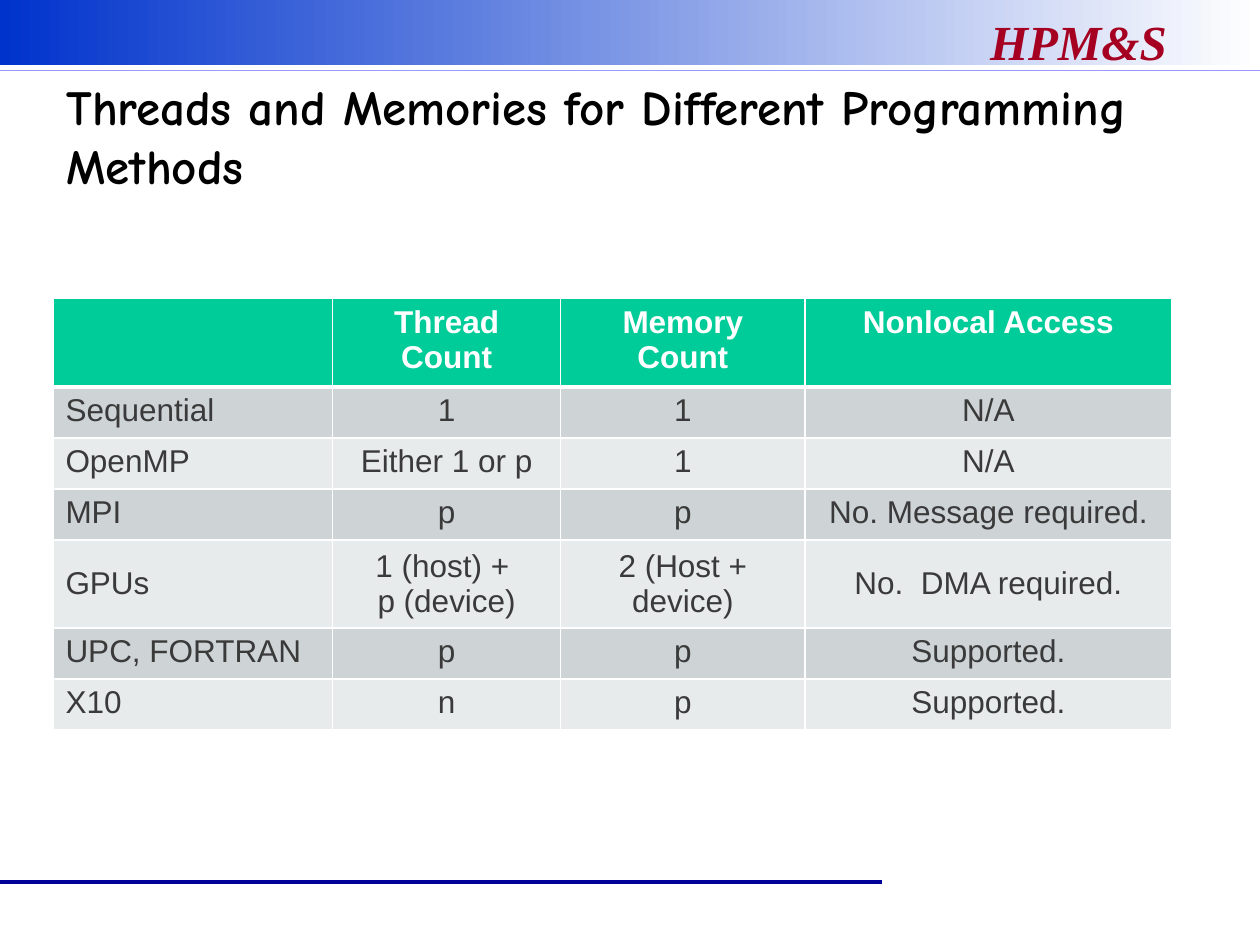
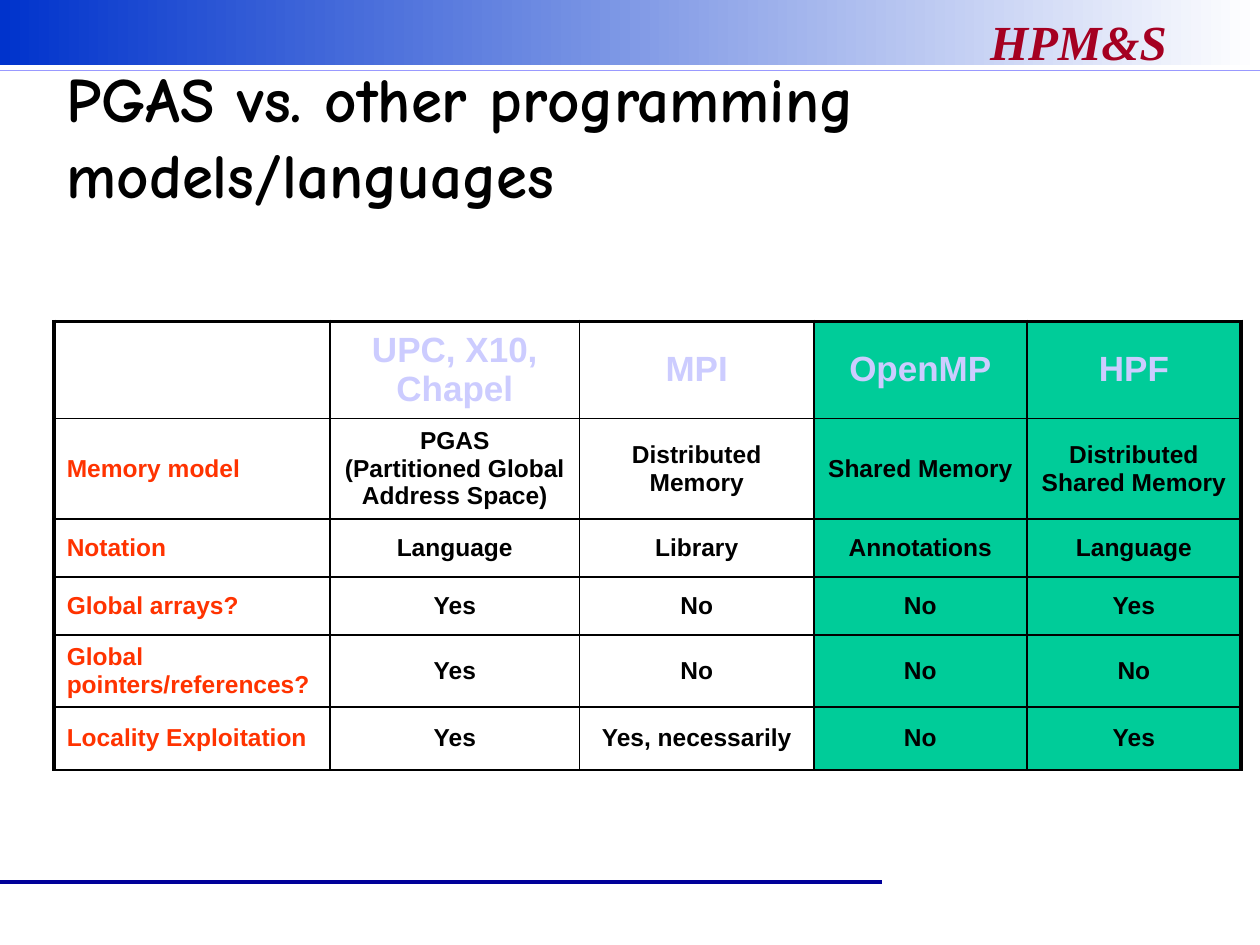
from lxml import etree
from pptx import Presentation
from pptx.dml.color import RGBColor
from pptx.enum.shapes import MSO_CONNECTOR, MSO_SHAPE
from pptx.enum.text import MSO_ANCHOR, PP_ALIGN
from pptx.oxml.ns import qn
from pptx.util import Inches, Pt

RECTANGLE = MSO_SHAPE.RECTANGLE
STRAIGHT = MSO_CONNECTOR.STRAIGHT
LEFT, CENTER = PP_ALIGN.LEFT, PP_ALIGN.CENTER
TOP, MIDDLE = MSO_ANCHOR.TOP, MSO_ANCHOR.MIDDLE

GRID_COLUMNS, GRID_ROWS = 100, 75
COLORS = {
    "band": "0033CC", "white": "FFFFFF", "black": "000000", "footer": "000099",
    "rule": "9999FF", "course": "A50021", "green": "00CC99", "body": "3A3A3A",
    "dark_band": "CED3D6", "light_band": "E8EBEC", "lavender": "CCCCFF", "label": "FF3300",
}
BODY_FONT, TITLE_FONT, COURSE_FONT = "Arial", "Comic Neue", "Times New Roman"


def rgb(color):
    return RGBColor.from_string(COLORS[color])


class Deck:
    def __init__(self):
        self.presentation = Presentation()
        self.presentation.slide_width = Inches(10)
        self.presentation.slide_height = Inches(7.5)
        self.slide = None

    def x(self, columns):
        return round(self.presentation.slide_width * columns / GRID_COLUMNS)

    def y(self, rows):
        return round(self.presentation.slide_height * rows / GRID_ROWS)

    def box(self, left, top, width, height):
        return self.x(left), self.y(top), self.x(width), self.y(height)

    def add_slide(self, title, size):
        self.slide = self.presentation.slides.add_slide(self.presentation.slide_layouts[6])
        self.gradient_band(0, 0, 100, 5.2)
        self.line(0, 70, 70, "footer", 2.25)
        self.text("HPM&S", (77.6, 0.4, 22, 5.7), COURSE_FONT, 28, "course", TOP, italic=True)
        self.line(0, 100, 5.6, "rule", 1)
        self.text(title, (4.3, 6.8, 89, 7.9), TITLE_FONT, size, "black", MIDDLE)

    def gradient_band(self, left, top, width, height):
        shape = self.slide.shapes.add_shape(RECTANGLE, *self.box(left, top, width, height))
        shape.shadow.inherit = False
        shape.line.fill.background()
        shape.fill.gradient()
        shape.fill.gradient_angle = 0
        for stop, position, color in zip(shape.fill.gradient_stops, (0, 1), ("band", "white")):
            stop.position = position
            stop.color.rgb = rgb(color)

    def line(self, start, end, row, color, width):
        connector = self.slide.shapes.add_connector(
            STRAIGHT, self.x(start), self.y(row), self.x(end), self.y(row))
        connector.line.color.rgb = rgb(color)
        connector.line.width = Pt(width)
        etree.SubElement(connector.element.spPr, qn("a:effectLst"))

    def text(self, words, place, font, size, color, anchor, italic=False):
        frame = self.slide.shapes.add_textbox(*self.box(*place)).text_frame
        frame.word_wrap = True
        frame.vertical_anchor = anchor
        self.run(frame.paragraphs[0], words, font, size, color, True, italic)

    def run(self, paragraph, words, font, size, color, bold, italic=False):
        run = paragraph.add_run()
        run.text = words
        run.font.name = font
        run.font.size = Pt(size)
        run.font.bold = bold
        run.font.italic = italic
        run.font.color.rgb = rgb(color)

    def table(self, left, top, widths, heights, rows, style):
        place = self.box(left, top, sum(widths), sum(heights))
        table = self.slide.shapes.add_table(len(rows), len(widths), *place).table
        table.first_row = table.horz_banding = False
        for column, width in zip(table.columns, widths):
            column.width = self.x(width)
        for row, height in zip(table.rows, heights):
            row.height = self.y(height)
        for row_index, row in enumerate(rows):
            for column_index, words in enumerate(row):
                look = style(row_index, column_index)
                self.cell(table.cell(row_index, column_index), words, column_index, **look)

    def cell(self, cell, words, column, size, color, bold, fill, anchor, edge, widths):
        for side, width in zip("LRTB", widths):
            self.border(cell, side, edge, width)
        if fill:
            cell.fill.solid()
            cell.fill.fore_color.rgb = rgb(fill)
        else:
            cell.fill.background()
        cell.vertical_anchor = anchor
        frame = cell.text_frame
        for index, line in enumerate(words.split("\n") if words else []):
            paragraph = frame.add_paragraph() if index else frame.paragraphs[0]
            paragraph.alignment = CENTER if column else LEFT
            self.run(paragraph, line, BODY_FONT, size, color, bold)

    def border(self, cell, side, color, width):
        properties = cell._tc.get_or_add_tcPr()
        line = etree.SubElement(properties, qn("a:ln" + side), w=str(Pt(width)))
        fill = etree.SubElement(line, qn("a:solidFill"))
        etree.SubElement(fill, qn("a:srgbClr"), val=COLORS[color])


THREAD_ROWS = [
    ["", "Thread Count", "Memory Count", "Nonlocal Access"],
    ["Sequential", "1", "1", "N/A"],
    ["OpenMP", "Either 1 or p", "1", "N/A"],
    ["MPI", "p", "p", "No. Message required."],
    ["GPUs", "1 (host) + \np (device)", "2 (Host + device)", "No.  DMA required."],
    ["UPC, FORTRAN", "p", "p", "Supported."],
    ["X10", "n", "p", "Supported."],
]
MODEL_ROWS = [
    ["", "UPC, X10, Chapel", "MPI", "OpenMP", "HPF"],
    ["Memory model", "PGAS\n(Partitioned Global Address Space)", "Distributed Memory",
     "Shared Memory", "Distributed Shared Memory"],
    ["Notation", "Language", "Library", "Annotations", "Language"],
    ["Global arrays?", "Yes", "No", "No", "Yes"],
    ["Global pointers/references?", "Yes", "No", "No", "No"],
    ["Locality Exploitation", "Yes", "Yes, necessarily", "No", "Yes"],
]


def thread_style(row, column):
    header = row == 0
    band = "dark_band" if row % 2 else "light_band"
    return {
        "size": 18, "bold": header, "color": "white" if header else "body",
        "fill": "green" if header else band,
        "anchor": MIDDLE if THREAD_ROWS[row][0] == "GPUs" else TOP,
        "edge": "white", "widths": (1, 1, 3 if row == 1 else 1, 3 if header else 1),
    }


def model_style(row, column):
    header = row == 0
    body_color = "black" if column else "label"
    last_column = len(MODEL_ROWS[0]) - 1
    outer = [column == 0, column == last_column, header, False]
    return {
        "size": 20 if header else 14, "bold": True,
        "color": "lavender" if header else body_color,
        "fill": "green" if column >= 3 else None, "anchor": MIDDLE,
        "edge": "black", "widths": [2.25 if side else 1 for side in outer],
    }


def main():
    deck = Deck()
    deck.add_slide("Threads and Memories for Different Programming Methods", 28)
    deck.table(4.2, 23.7, [22.2, 18.1, 19.4, 29.1], [6.6, 4.05, 4.05, 4.05, 6.6, 4.05, 4.05],
               THREAD_ROWS, thread_style)
    deck.add_slide("PGAS vs. other programming models/languages", 36)
    deck.table(4.3, 25.5, [21.9, 19.8, 18.6, 16.9, 17], [7.7, 8, 4.6, 4.6, 5.7, 5],
               MODEL_ROWS, model_style)
    deck.presentation.save("out.pptx")


if __name__ == "__main__":
    main()
